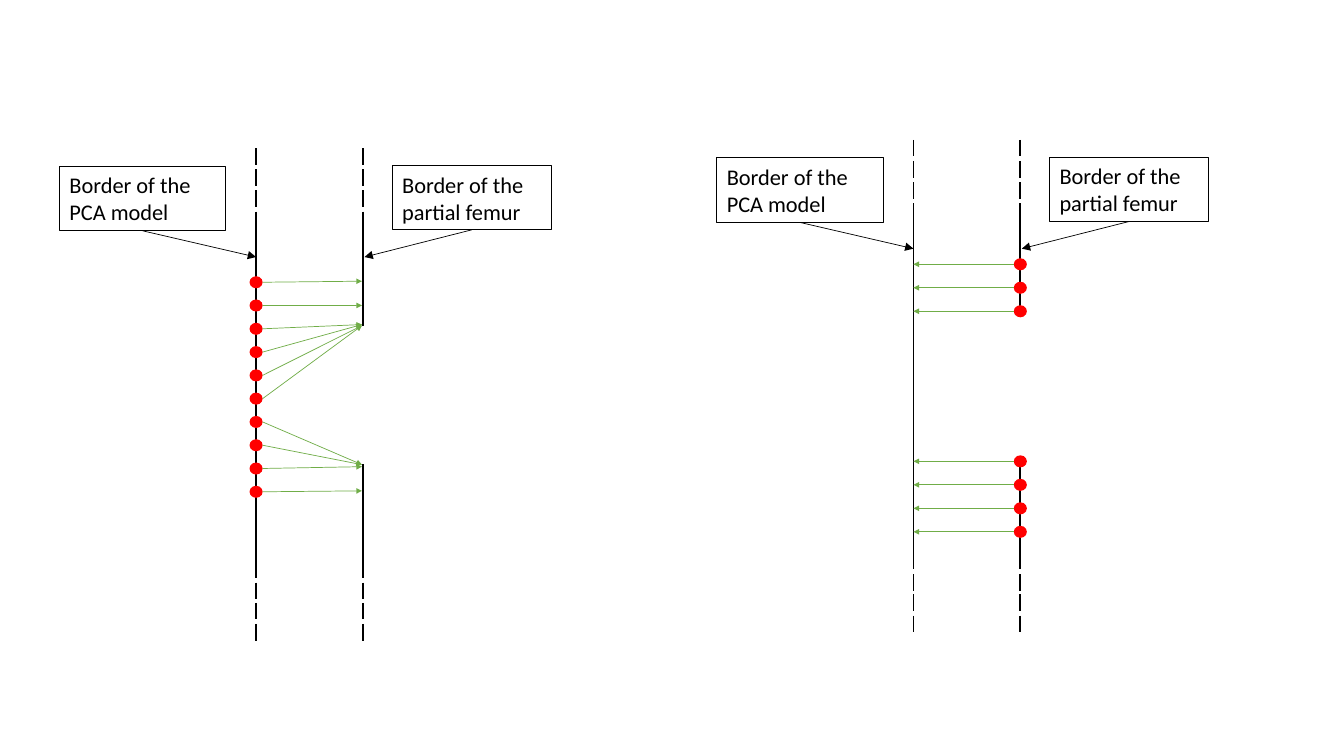
from dataclasses import dataclass

from lxml import etree
from pptx import Presentation
from pptx import util as u
from pptx.dml.color import RGBColor
from pptx.enum import shapes, text
from pptx.oxml import ns
from pptx.shapes.connector import Connector
from pptx.shapes.group import GroupShape

BLACK = RGBColor(0x00, 0x00, 0x00)
WHITE = RGBColor(0xFF, 0xFF, 0xFF)
RED = RGBColor(0xFF, 0x00, 0x00)
GREEN = RGBColor(0x70, 0xAD, 0x47)

# The grid has square cells: 75 rows over the height of the slide.
WIDTH, HEIGHT = u.Inches(13.33), u.Inches(7.5)
CELL = HEIGHT / 75

MODEL, FEMUR = 0, 10.6  # columns of the two borders inside a panel
BORDER_SOLID = (6.3, 42.6)
BORDER_DASHES = (0, 2.1, 4.2, 43.1, 45.1, 47.2)
DASH = 1.65
GAP = (17.6, 31.35)  # missing part of the femur
DOT_WIDTH, DOT_HEIGHT = 1.3, 1.2
POINTED_ROW = 10.8


@dataclass(frozen=True)
class Label:
    """A boxed caption and the column its arrow points at."""
    caption: str
    column: float
    row: float
    width: float
    height: float
    target: float


@dataclass(frozen=True)
class Match:
    """A dot on one border and the row its arrow reaches on the other."""
    row: float
    target: float


@dataclass(frozen=True)
class Panel:
    """A pair of borders with the matches found from one side."""
    column: float
    row: float
    source: float
    arrow_end: float
    matches: tuple[Match, ...]


LABELS = (
    Label("Border of the PCA model", -19.5, 1.8, 16.5, 6.4, MODEL),
    Label("Border of the partial femur", 13.5, 1.75, 15.8, 6.35, FEMUR + 0.15),
)
NEAREST_ROWS = (13.2, 15.6, 17.5, 17.5, 17.6, 17.6, 31.4, 31.4, 31.6, 34)
MODEL_MATCHES = tuple(
    Match(13.3 + 2.31 * step, target) for step, target in enumerate(NEAREST_ROWS))
FEMUR_MATCHES = tuple(
    Match(first + 2.33 * step, first + 2.33 * step)
    for first, count in ((12.35, 3), (31.9, 4)) for step in range(count))
PANELS = (
    Panel(25.4, 14.7, MODEL, FEMUR - 0.1, MODEL_MATCHES),
    Panel(90.6, 13.87, FEMUR, MODEL, FEMUR_MATCHES),
)


def cells(count: float) -> u.Emu:
    """Turn a number of grid cells into a length."""
    return u.Emu(round(count * CELL))


def add_line(group: GroupShape, panel: Panel, start: tuple[float, float],
             end: tuple[float, float], color: RGBColor = BLACK,
             weight: float = 1.25, head: str = "") -> Connector:
    """Draw a line, with an arrowhead of the given size if there is one."""
    line = group.shapes.add_connector(
        shapes.MSO_CONNECTOR.STRAIGHT,
        cells(panel.column + start[0]), cells(panel.row + start[1]),
        cells(panel.column + end[0]), cells(panel.row + end[1]))
    line.line.color.rgb = color
    line.line.width = u.Pt(weight)
    if head:
        etree.SubElement(line.line._get_or_add_ln(), ns.qn("a:tailEnd"),
                         type="triangle", w=head, len=head)
    etree.SubElement(line._element.spPr, ns.qn("a:effectLst"))
    return line


def add_borders(group: GroupShape, panel: Panel) -> None:
    """Draw both borders and blank out the gap in the femur."""
    for column in (MODEL, FEMUR):
        dashes = [(top, top + DASH) for top in BORDER_DASHES]
        for top, bottom in [BORDER_SOLID, *dashes]:
            add_line(group, panel, (column, top), (column, bottom))
    add_line(group, panel, (FEMUR, GAP[0]), (FEMUR, GAP[1]), WHITE, 1.75)


def write(box, words: str, *, font: str = "Calibri", size: float = 16,
          color: RGBColor = BLACK) -> None:
    """Put left-aligned, wrapped text in a box."""
    frame = box.text_frame
    frame.word_wrap = True
    frame.auto_size = text.MSO_AUTO_SIZE.SHAPE_TO_FIT_TEXT
    frame.vertical_anchor = text.MSO_ANCHOR.TOP
    para = frame.paragraphs[0]
    para.alignment = text.PP_ALIGN.LEFT
    span = para.add_run()
    span.text = words
    span.font.name = font
    span.font.size = u.Pt(size)
    span.font.color.rgb = color


def add_label(group: GroupShape, panel: Panel, label: Label) -> None:
    """Draw a caption box and its pointer to a border."""
    box = group.shapes.add_shape(
        shapes.MSO_SHAPE.RECTANGLE,
        cells(panel.column + label.column), cells(panel.row + label.row),
        cells(label.width), cells(label.height))
    box.shadow.inherit = False
    box.fill.background()
    box.line.color.rgb = BLACK
    box.line.width = u.Pt(0.75)
    write(box, label.caption)
    foot = (label.column + label.width / 2, label.row + label.height)
    add_line(group, panel, foot, (label.target, POINTED_ROW), weight=0.5, head="med")


def add_match(group: GroupShape, panel: Panel, match: Match) -> None:
    """Draw a dot and the arrow to its nearest point."""
    dot = group.shapes.add_shape(
        shapes.MSO_SHAPE.OVAL,
        cells(panel.column + panel.source - DOT_WIDTH / 2),
        cells(panel.row + match.row - DOT_HEIGHT / 2),
        cells(DOT_WIDTH), cells(DOT_HEIGHT))
    dot.shadow.inherit = False
    dot.fill.solid()
    dot.fill.fore_color.rgb = RED
    dot.line.fill.background()
    side = 1 if panel.arrow_end > panel.source else -1
    start = (panel.source + side * DOT_WIDTH / 2, match.row)
    add_line(group, panel, start, (panel.arrow_end, match.target), GREEN, 0.5, "sm")


def main() -> None:
    """Build the slide and save it."""
    deck = Presentation()
    deck.slide_width, deck.slide_height = WIDTH, HEIGHT
    page = deck.slides.add_slide(deck.slide_layouts[6])
    for panel in PANELS:
        group = page.shapes.add_group_shape()
        add_borders(group, panel)
        for label in LABELS:
            add_label(group, panel, label)
        for match in panel.matches:
            add_match(group, panel, match)
    deck.save("out.pptx")


main()
